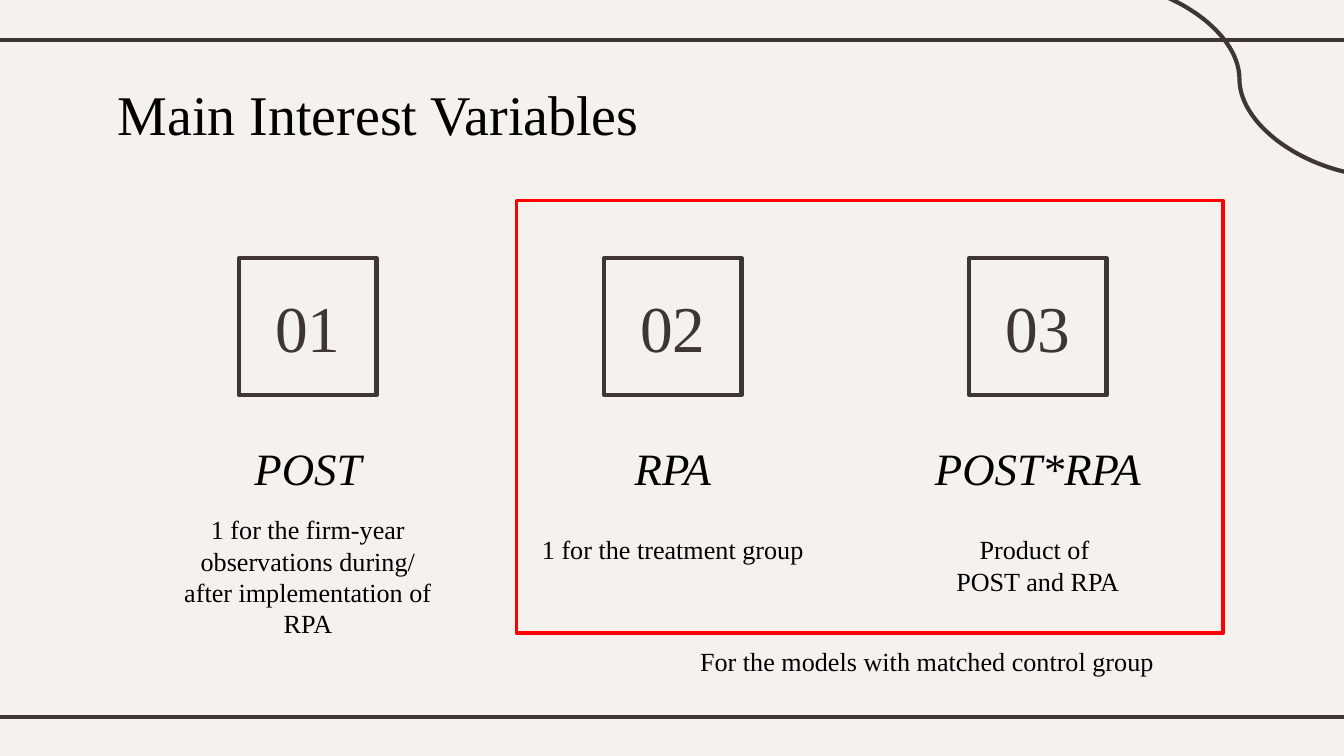
from dataclasses import dataclass

from lxml import etree
from pptx import Presentation
from pptx.dml.color import RGBColor
from pptx.enum import shapes, text
from pptx.oxml import ns
from pptx.util import Pt


@dataclass(frozen=True)
class Theme:
    """Colours, font and sizes of the slide."""
    paper: RGBColor = RGBColor(0xF5, 0xF2, 0xEE)
    brown: RGBColor = RGBColor(0x3F, 0x35, 0x33)
    black: RGBColor = RGBColor(0, 0, 0)
    red: RGBColor = RGBColor(0xFF, 0, 0)
    font: str = "Times New Roman"
    title: float = 30
    number: float = 35
    head: float = 24
    body: float = 14
    rule: float = 2.25
    frame: float = 2


THEME = Theme()
KIND = shapes.MSO_CONNECTOR
MID = text.PP_ALIGN.CENTER


def add_line(slide, kind, *ends):
    """Draw a brown connector from one point to another."""
    line = slide.shapes.add_connector(kind, *map(Pt, ends))
    line.line.color.rgb = THEME.brown
    line.line.width = Pt(THEME.rule)
    etree.SubElement(line._element.spPr, ns.qn("a:effectLst"))


def add_box(slide, area, color, width, fill=None):
    """Draw a rectangle, hollow unless a fill is given."""
    box = slide.shapes.add_shape(shapes.MSO_SHAPE.RECTANGLE, *map(Pt, area))
    box.shadow.inherit = False
    box.line.color.rgb = color
    box.line.width = Pt(width)
    if fill is None:
        box.fill.background()
    else:
        box.fill.solid()
        box.fill.fore_color.rgb = fill


def add_text(slide, words, area, size, align=None, color=THEME.black,
             italic=False, inset=7.2, anchor=text.MSO_ANCHOR.TOP):
    """Place one paragraph of text."""
    frame = slide.shapes.add_textbox(*map(Pt, area)).text_frame
    frame.word_wrap = True
    frame.vertical_anchor = anchor
    frame.margin_left = frame.margin_right = Pt(7.2)
    frame.margin_top = frame.margin_bottom = Pt(inset)
    para = frame.paragraphs[0]
    para.text = words
    para.alignment = align
    font = para.font
    font.name, font.size, font.italic = THEME.font, Pt(size), italic
    font.color.rgb = color


def add_item(slide, mid, number, head, body, top, height):
    """Stack a numbered square, a heading and a definition."""
    add_box(slide, (mid - 36.75, 138.25, 73.5, 73.5), THEME.brown,
            THEME.rule, THEME.paper)
    add_text(slide, number, (mid - 40, 148.5, 80, 52.5), THEME.number, MID,
             THEME.brown, anchor=text.MSO_ANCHOR.MIDDLE)
    add_text(slide, head, (mid - 79.2, 229, 158.4, 39), THEME.head, MID,
             italic=True)
    add_text(slide, body, (mid - 79.2, top, 158.4, height), THEME.body, MID)


def main():
    """Build and save the slide."""
    deck = Presentation()
    deck.slide_width, deck.slide_height = Pt(720), Pt(405)
    slide = deck.slides.add_slide(deck.slide_layouts[6])
    slide.background.fill.solid()
    slide.background.fill.fore_color.rgb = THEME.paper

    for y in (21.5, 384):
        add_line(slide, KIND.STRAIGHT, -6, y, 726, y)
    add_line(slide, KIND.CURVE, 585.5, -10, 742.5, 94.75)

    add_text(slide, "Main Interest Variables", (56, 35.5, 434, 45),
             THEME.title)
    items = (
        ("POST", "1 for the firm-year observations during/ after "
                 "implementation of RPA", 268, 67),
        ("RPA", "1 for the treatment group", 278.75, 45),
        ("POST*RPA", "Product of \vPOST and RPA", 278.75, 45),
    )
    for i, item in enumerate(items):
        add_item(slide, 165 + 195.5 * i, f"{i + 1:02}", *item)

    add_box(slide, (276.75, 107.5, 378.5, 231.75), THEME.red, THEME.frame)
    add_text(slide, "For the models with matched control group",
             (368, 342, 352, 24.25), THEME.body, inset=3.6)
    deck.save("out.pptx")


if __name__ == "__main__":
    main()
